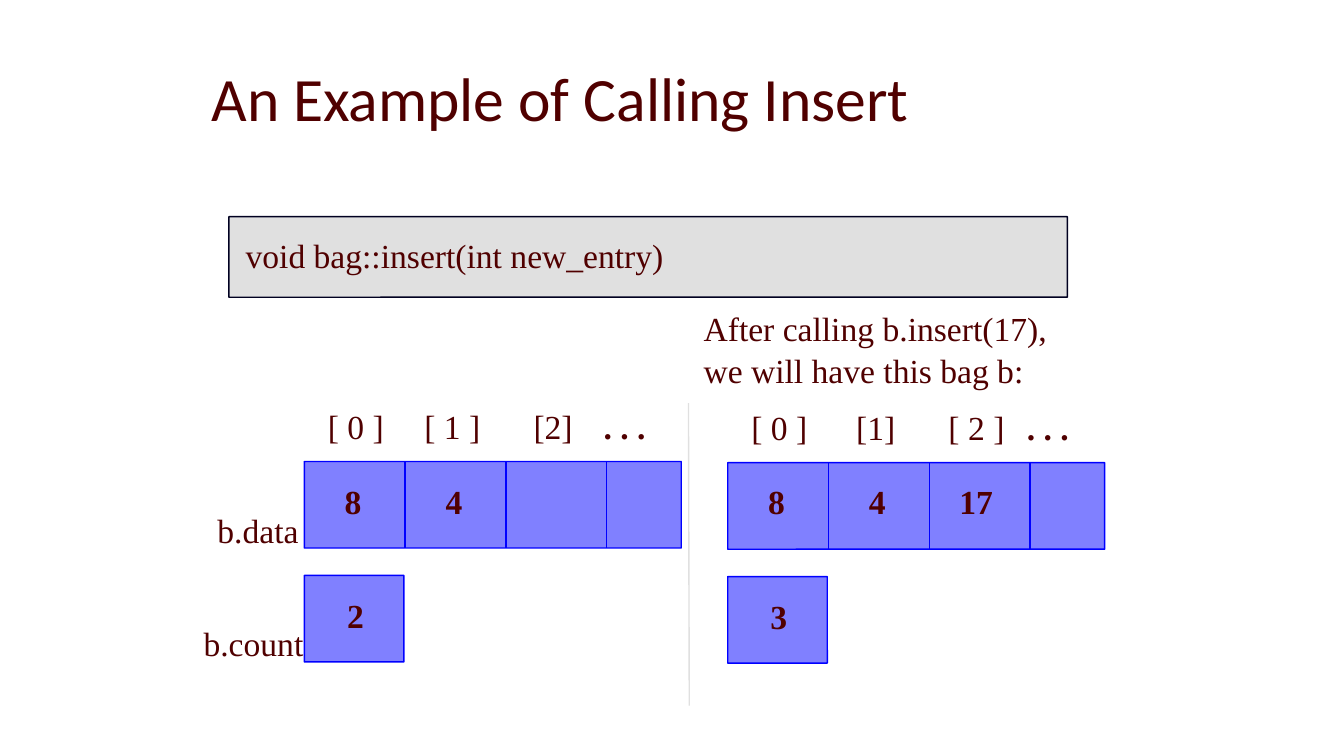
from dataclasses import dataclass

from lxml import etree
from pptx import Presentation
from pptx.dml.color import RGBColor
from pptx.enum.shapes import MSO_CONNECTOR, MSO_SHAPE
from pptx.enum.text import MSO_ANCHOR, MSO_AUTO_SIZE, PP_ALIGN
from pptx.oxml.ns import qn
from pptx.util import Cm, Pt

ROUND_RECT = MSO_SHAPE.ROUNDED_RECTANGLE
STRAIGHT = MSO_CONNECTOR.STRAIGHT
LEFT, CENTER = PP_ALIGN.LEFT, PP_ALIGN.CENTER
TOP, MIDDLE = MSO_ANCHOR.TOP, MSO_ANCHOR.MIDDLE
GROW, FIXED = MSO_AUTO_SIZE.SHAPE_TO_FIT_TEXT, MSO_AUTO_SIZE.NONE

MAROON, GREY, NAVY = "500000", "E0E0E0", "000020"
VIOLET, BLUE = "8080FF", "0000FF"
BODY_FONT, TITLE_FONT = "Times New Roman", "Calibri"
LINE_WIDTH = Pt(0.99)
CORNER = 0.002

# Lengths in centimetres
CELL_W, CELL_H, ARRAY_W, COUNT_W = 2.54, 2.18, 9.5, 2.51
COUNT_DROP, INDEX_RISE, VALUE_DROP = 2.87, 1.44, 0.46
INDEX_CENTERS, DOTS_CENTER = (1.3, 3.73, 6.27), 8.07
VALUE_CENTERS, COUNT_CENTER = (1.23, 3.77, 6.26), 1.29
VALUES_Y, TEXT_H = 12.09, 1.19
DOTS = ". . ."
WIDTHS = {"[ 0 ]": 1.93, "[ 1 ]": 1.93, "[ 2 ]": 1.93, "[1]": 1.5, "[2]": 1.5,
          DOTS: 1.57, "17": 1.37}
DIGIT_W = 0.94


@dataclass
class Bag:
    x: float
    y: float
    indexes: list[str]
    values: list[str]
    count: str


@dataclass
class Label:
    text: str
    x: float
    y: float
    w: float
    h: float = TEXT_H


TITLE = Label("An Example of Calling Insert", 5.08, 0.95, 21.59, 3.18)
SIGNATURE = Label("void bag::insert(int new_entry)", 5.94, 5.89, 20.93)
CAPTIONS = [
    Label("After calling b.insert(17),\nwe will have this bag b:", 17.48, 7.72, 9.25, 3.25),
    Label("b.data", 5.23, 12.82, 2.57),
    Label("b.count", 4.88, 15.67, 3.05),
]
BAGS = [
    Bag(7.67, 11.63, ["[ 0 ]", "[ 1 ]", "[2]"], ["8", "4"], "2"),
    Bag(18.34, 11.66, ["[ 0 ]", "[1]", "[ 2 ]"], ["8", "4", "17"], "3"),
]


def color(value: str) -> RGBColor:
    return RGBColor.from_string(value)


def add_round_rect(x: float, y: float, w: float, h: float):
    sp = s.shapes.add_shape(ROUND_RECT, Cm(x), Cm(y), Cm(w), Cm(h))
    sp.adjustments[0] = CORNER
    sp.shadow.inherit = False
    return sp


def add_box(x: float, y: float, w: float, h: float, fill: str, line: str) -> None:
    sp = add_round_rect(x, y, w, h)
    sp.fill.solid()
    sp.fill.fore_color.rgb = color(fill)
    sp.line.color.rgb = color(line)
    sp.line.width = LINE_WIDTH


def add_line(x1: float, y1: float, x2: float, y2: float, line: str) -> None:
    c = s.shapes.add_connector(STRAIGHT, Cm(x1), Cm(y1), Cm(x2), Cm(y2))
    c.line.color.rgb = color(line)
    c.line.width = LINE_WIDTH
    etree.SubElement(c._element.spPr, qn("a:effectLst"))


def write(tf, text: str, align=LEFT, bold: bool = False, font: str = BODY_FONT,
          size: int = 24, spacing: float = 0.93) -> None:
    tf.text = text
    for i, p in enumerate(tf.paragraphs):
        p.alignment = align
        p.line_spacing = spacing
        if i:
            p.space_before = Pt(3)
        for r in p.runs:
            r.font.name = font
            r.font.size = Pt(size)
            r.font.bold = bold
            r.font.color.rgb = color(MAROON)


def add_wrapped(label: Label, anchor=TOP, auto_size=GROW, **style) -> None:
    sp = s.shapes.add_textbox(Cm(label.x), Cm(label.y), Cm(label.w), Cm(label.h))
    tf = sp.text_frame
    tf.word_wrap = True
    tf.auto_size = auto_size
    tf.vertical_anchor = anchor
    write(tf, label.text, **style)


def add_caption(label: Label, **style) -> None:
    sp = add_round_rect(label.x, label.y, label.w, label.h)
    sp.fill.background()
    sp.line.fill.background()
    tf = sp.text_frame
    tf.word_wrap = False
    tf.auto_size = GROW
    tf.vertical_anchor = TOP
    write(tf, label.text, **style)


def add_centered(text: str, center: float, y: float, bold: bool) -> None:
    w = WIDTHS.get(text, DIGIT_W)
    add_caption(Label(text, center - w / 2, y, w), align=CENTER, bold=bold)


def add_bag(bag: Bag) -> None:
    # Item count
    count_y = bag.y + COUNT_DROP
    add_box(bag.x, count_y, COUNT_W, CELL_H, VIOLET, BLUE)
    add_centered(bag.count, bag.x + COUNT_CENTER, count_y + VALUE_DROP, True)

    # Array with cell dividers
    add_box(bag.x, bag.y, ARRAY_W, CELL_H, VIOLET, BLUE)
    for i in range(1, 4):
        x = bag.x + i * CELL_W
        add_line(x, bag.y, x, bag.y + CELL_H, BLUE)

    # Indexes above, values inside
    index_y = bag.y - INDEX_RISE
    for text, center in zip(bag.indexes, INDEX_CENTERS):
        add_centered(text, bag.x + center, index_y, False)
    add_centered(DOTS, bag.x + DOTS_CENTER, index_y, True)
    for text, center in zip(bag.values, VALUE_CENTERS):
        add_centered(text, bag.x + center, VALUES_Y, True)


prs = Presentation()
prs.slide_width, prs.slide_height = Cm(33.87), Cm(19.05)
s = prs.slides.add_slide(prs.slide_layouts[6])

# Title and divider
add_wrapped(TITLE, MIDDLE, FIXED, font=TITLE_FONT, size=44, spacing=0.95)
add_line(17.35, 10.16, 17.37, 17.78, GREY)

# Function signature and captions
add_box(5.77, 5.46, 21.13, 2.03, GREY, NAVY)
add_wrapped(SIGNATURE)
for caption in CAPTIONS:
    add_caption(caption)

# The bag before and after the call
for bag in BAGS:
    add_bag(bag)

prs.save("out.pptx")
